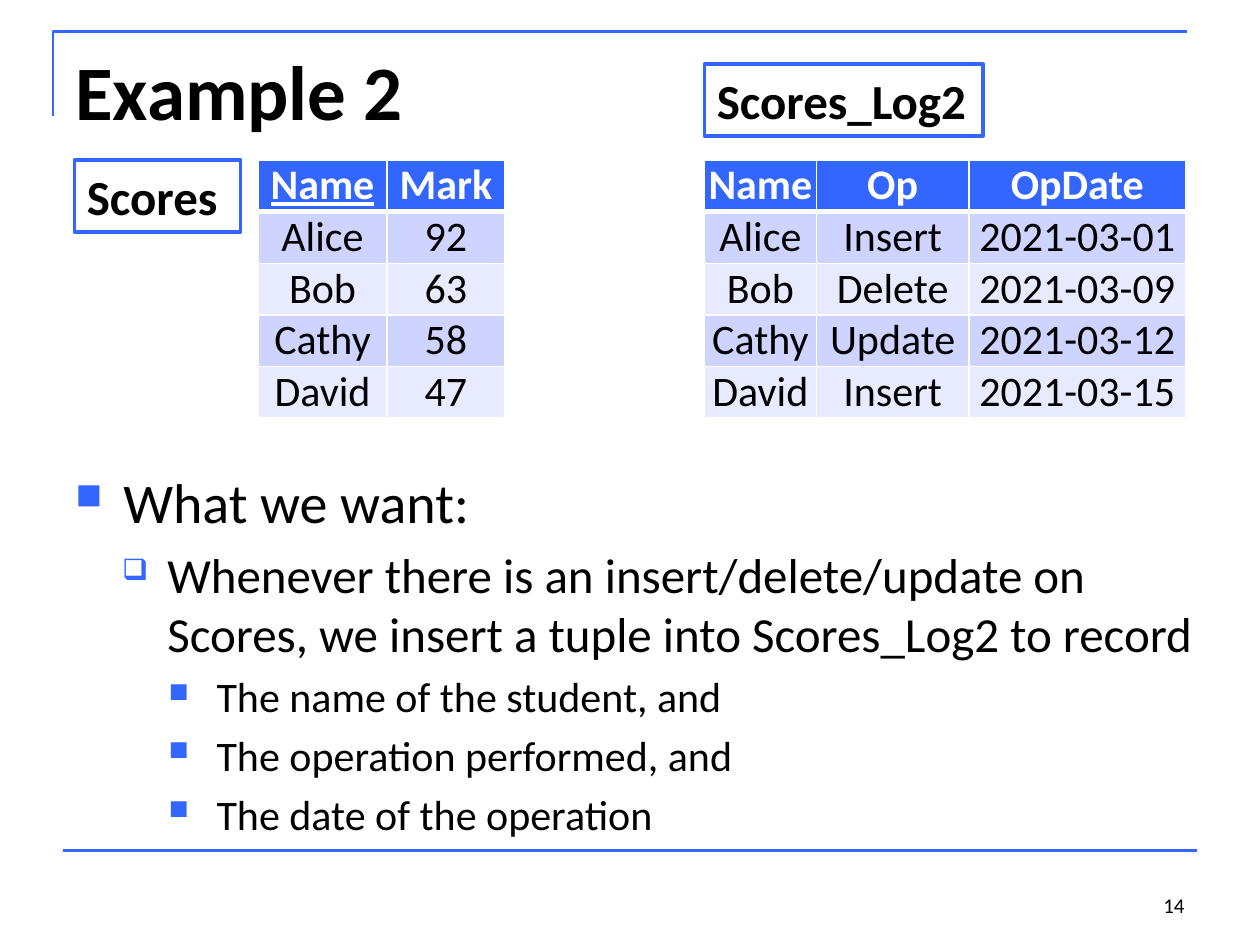
from lxml.etree import SubElement
from pptx import Presentation
from pptx.dml.color import RGBColor
from pptx.enum.shapes import MSO_CONNECTOR as Connector, MSO_SHAPE as Shape
from pptx.enum.text import MSO_ANCHOR as Anchor, PP_ALIGN as Align
from pptx.oxml.ns import qn
from pptx.util import Inches, Pt

BLUE, BLACK, WHITE = "3366FF", "000000", "FFFFFF"
BANDS = ["CED3FF", "E8EAFF"]
FONT = "Calibri"
TABLE_TOP, ROW_HEIGHT = 1.27, 0.41
LOG_LEFT = 5.59
LABEL_HEIGHT = 0.57

# bullet character, bullet size in percent, left margin, hanging indent, text size
LEVELS = [
    ("■", 65, 0.38, 0.38, 32),
    ("❑", 60, 0.73, 0.36, 28),
    ("■", 65, 1.12, 0.38, 24),
]
BODY = [
    (0, "What we want:"),
    (1, "Whenever there is an insert/delete/update on Scores, "
        "we insert a tuple into Scores_Log2 to record"),
    (2, "The name of the student, and"),
    (2, "The operation performed, and"),
    (2, "The date of the operation"),
]
SCORES = [
    ("Name", "Mark"),
    ("Alice", "92"),
    ("Bob", "63"),
    ("Cathy", "58"),
    ("David", "47"),
]
SCORES_LOG = [
    ("Name", "Op", "OpDate"),
    ("Alice", "Insert", "2021-03-01"),
    ("Bob", "Delete", "2021-03-09"),
    ("Cathy", "Update", "2021-03-12"),
    ("David", "Insert", "2021-03-15"),
]


def color(hex_code):
    return RGBColor.from_string(hex_code)


def box(*lengths):
    return [Inches(length) for length in lengths]


def set_all(target, values):
    for name, value in values.items():
        setattr(target, name, value)


def write(paragraph, text, size, hex_code=BLACK, align=Align.LEFT, **font_values):
    paragraph.alignment = align
    run = paragraph.add_run()
    run.text = text
    set_all(run.font, {"name": FONT, "size": Pt(size), **font_values})
    run.font.color.rgb = color(hex_code)


def outline(shape, width):
    shape.line.color.rgb = color(BLUE)
    shape.line.width = Pt(width)


def add_text(slide, bounds, anchor=Anchor.TOP):
    frame = slide.shapes.add_textbox(*box(*bounds)).text_frame
    set_all(frame, {"word_wrap": True, "vertical_anchor": anchor})
    return frame


def add_frame_lines(slide):
    builder = slide.shapes.build_freeform(*box(0.42, 0.92))
    builder.add_line_segments([box(0.42, 0.25), box(9.42, 0.25)], close=False)
    corner = builder.convert_to_shape()
    corner.fill.background()
    corner.shadow.inherit = False
    outline(corner, 1.5)

    rule = slide.shapes.add_connector(Connector.STRAIGHT, *box(0.5, 6.75, 9.5, 6.75))
    outline(rule, 1.5)
    SubElement(rule._element.spPr, qn("a:effectLst"))


def add_bullet(paragraph, character, percent, margin, hanging):
    properties = paragraph._p.get_or_add_pPr()
    properties.set("marL", str(Inches(margin)))
    properties.set("indent", str(-Inches(hanging)))
    bullet_color = SubElement(properties, qn("a:buClr"))
    SubElement(bullet_color, qn("a:srgbClr"), val=BLUE)
    SubElement(properties, qn("a:buSzPct"), val=str(percent * 1000))
    SubElement(properties, qn("a:buChar"), char=character)


def add_body(slide, bounds):
    frame = add_text(slide, bounds)
    for index, (level, text) in enumerate(BODY):
        paragraph = frame.add_paragraph() if index else frame.paragraphs[0]
        *bullet, size = LEVELS[level]
        paragraph.level = level
        paragraph.space_before = Pt(0.2 * size if index else 0)
        add_bullet(paragraph, *bullet)
        write(paragraph, text, size)


def add_label(slide, text, left, top, width):
    label = slide.shapes.add_shape(Shape.RECTANGLE, *box(left, top, width, LABEL_HEIGHT))
    label.fill.background()
    label.shadow.inherit = False
    outline(label, 2)
    label.text_frame.word_wrap = True
    write(label.text_frame.paragraphs[0], text, 28, bold=True)


def add_borders(cell, bottom_width):
    """Draw white cell borders; they must come before the fill in the XML."""
    properties = cell._tc.get_or_add_tcPr()
    for side, width in {"L": 1, "R": 1, "T": 1, "B": bottom_width}.items():
        border = SubElement(properties, qn(f"a:ln{side}"), w=str(Pt(width)))
        fill = SubElement(border, qn("a:solidFill"))
        SubElement(fill, qn("a:srgbClr"), val=WHITE)


def fill_cell(cell, text, row, underline):
    header = row == 0
    set_all(cell, dict.fromkeys(
        ["margin_left", "margin_right", "margin_top", "margin_bottom"], 0))
    add_borders(cell, 3 if header else 1)
    cell.fill.solid()
    cell.fill.fore_color.rgb = color(BLUE if header else BANDS[(row - 1) % 2])
    write(cell.text_frame.paragraphs[0], text, 24, WHITE if header else BLACK,
          Align.CENTER, bold=header, underline=underline)


def add_data_table(slide, records, left, widths, key_column=None):
    bounds = box(left, TABLE_TOP, sum(widths), ROW_HEIGHT * len(records))
    table = slide.shapes.add_table(len(records), len(widths), *bounds).table
    for column, width in zip(table.columns, widths):
        column.width = Inches(width)
    for row, record in enumerate(records):
        table.rows[row].height = Inches(ROW_HEIGHT)
        for column, text in enumerate(record):
            is_key = row == 0 and column == key_column
            fill_cell(table.cell(row, column), text, row, is_key)


def main():
    presentation = Presentation()
    set_all(presentation, {"slide_width": Inches(10), "slide_height": Inches(7.5)})
    slide = presentation.slides.add_slide(presentation.slide_layouts[6])

    add_frame_lines(slide)
    title = add_text(slide, (0.5, 0.3, 9, 1.25))
    write(title.paragraphs[0], "Example 2", 44, bold=True)
    add_body(slide, (0.5, 3.66, 9.22, 3.05))

    add_data_table(slide, SCORES, 2.05, [1.02, 0.94], key_column=0)
    add_label(slide, "Scores", 0.59, TABLE_TOP, 1.32)
    add_data_table(slide, SCORES_LOG, LOG_LEFT, [0.89, 1.21, 1.72])
    add_label(slide, "Scores_Log2", LOG_LEFT, 0.51, 2.21)

    number = add_text(slide, (7.17, 6.83, 2.33, 0.5), Anchor.BOTTOM)
    write(number.paragraphs[0], "14", 12, align=Align.RIGHT)
    presentation.save("out.pptx")


if __name__ == "__main__":
    main()
